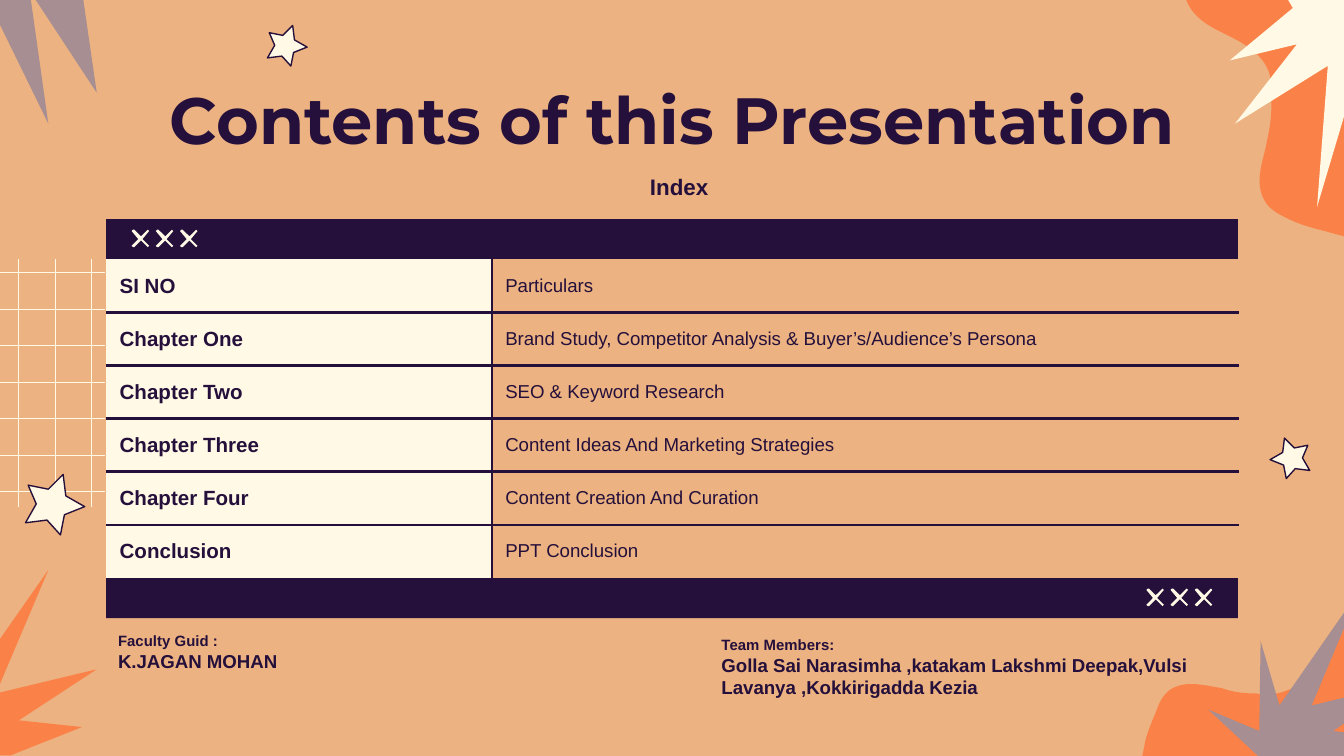
import lxml.etree
import pptx
import pptx.dml.color
import pptx.enum.shapes
import pptx.enum.text
import pptx.oxml.ns
import pptx.util

Inches = pptx.util.Inches
Pt = pptx.util.Pt
RGBColor = pptx.dml.color.RGBColor
qn = pptx.oxml.ns.qn
PP_ALIGN = pptx.enum.text.PP_ALIGN

SAND = RGBColor(0xEC, 0xB2, 0x81)
CREAM = RGBColor(0xFF, 0xF9, 0xE5)
ORANGE = RGBColor(0xFA, 0x81, 0x47)
MAUVE = RGBColor(0xA7, 0x8E, 0x92)
PLUM = RGBColor(0x25, 0x10, 0x3B)

LOWER_BLOB = [
    (1.62, 0), (1.49, 0.02, 1.41, 0.14, 1.36, 0.25), (1.3, 0.37, 1.24, 0.51, 1.1, 0.55),
    (1.05, 0.57, 0.99, 0.58, 0.93, 0.58), (0.91, 0.58, 0.89, 0.57, 0.87, 0.57),
    (0.78, 0.57, 0.7, 0.56, 0.62, 0.53), (0.55, 0.52, 0.47, 0.5, 0.39, 0.5),
    (0.34, 0.5, 0.29, 0.51, 0.24, 0.54), (0.18, 0.58, 0.15, 0.65, 0.13, 0.71),
    (0.1, 0.78, 0.07, 0.85, 0.05, 0.93), (0.04, 1, 0.02, 1.07, 0, 1.14),
    (1.48, 1.14), (1.56, 1.14, 1.62, 1.07, 1.62, 0.99),
]
UPPER_BLOB = [
    (0, 0), (0.02, 0.16, 0.15, 0.25, 0.28, 0.31), (0.42, 0.38, 0.57, 0.45, 0.63, 0.6),
    (0.66, 0.69, 0.65, 0.78, 0.65, 0.87), (0.65, 0.97, 0.63, 1.06, 0.61, 1.16),
    (0.58, 1.29, 0.52, 1.45, 0.61, 1.58), (0.66, 1.65, 0.74, 1.68, 0.8, 1.71),
    (0.89, 1.75, 0.97, 1.77, 1.05, 1.79), (1.15, 1.82, 1.25, 1.84, 1.34, 1.88),
    (1.34, 0.17), (1.34, 0.07, 1.27, 0, 1.18, 0),
]
LEFT_BURST = [(0.56, 0), (0, 0.8), (0, 1.38), (0.28, 1.38), (0.81, 1.17),
              (0.34, 1.12), (0.92, 0.74), (0.17, 0.92)]
LOWER_BURST = [(1.1, 0), (0.53, 0.82), (0.39, 0.34), (0.38, 1.01), (0, 0.85), (0.43, 1.25),
               (0.36, 1.3), (0.88, 1.3), (0.87, 1.25), (1.1, 1.16), (1.1, 1.03),
               (0.93, 1.01), (1.1, 0.89), (1.1, 0.74), (0.77, 0.82), (1.1, 0.03)]
UPPER_BURST = [(0.4, 0), (0.47, 0.12), (0, 0.51), (0.5, 0.39), (0.04, 0.98),
               (0.73, 0.55), (0.65, 1.6), (0.99, 0.46), (1, 0.47), (1, 0)]
LEFT_SPIKES = [(0.15, 0), (0.07, 0, 0, 0.07, 0, 0.15), (0, 1.51), (0.03, 1.74),
               (0.18, 0.26), (0.64, 1.2), (0.5, 0.21), (1, 0.97), (0.86, 0)]
STAR = [(0.28, 0), (0.3, 0.16), (0.44, 0.24), (0.29, 0.3), (0.26, 0.45),
        (0.16, 0.34), (0, 0.36), (0.08, 0.22), (0.02, 0.08), (0.17, 0.11)]
CROSS = [(0.01, 0), (0, 0.01), (0.05, 0.07), (0, 0.12), (0.01, 0.13), (0.02, 0.13),
         (0.07, 0.08), (0.12, 0.13), (0.13, 0.12), (0.08, 0.07), (0.13, 0.01),
         (0.12, 0), (0.07, 0.05), (0.02, 0)]

CHAPTERS = [
    ("SI NO", "Particulars"),
    ("Chapter One", "Brand Study, Competitor Analysis & Buyer’s/Audience’s Persona"),
    ("Chapter Two", "SEO & Keyword Research"),
    ("Chapter Three", "Content Ideas And Marketing Strategies"),
    ("Chapter Four", "Content Creation And Curation"),
    ("Conclusion", "PPT Conclusion"),
]


def flatten(outline, steps=10):
    points = []
    for segment in outline:
        if len(segment) == 2:
            points.append(segment)
            continue
        x0, y0 = points[-1]
        x1, y1, x2, y2, x3, y3 = segment
        for step in range(1, steps + 1):
            t = step / steps
            a, b, c, d = (1 - t) ** 3, 3 * t * (1 - t) ** 2, 3 * t * t * (1 - t), t ** 3
            points.append((a * x0 + b * x1 + c * x2 + d * x3,
                           a * y0 + b * y1 + c * y2 + d * y3))
    return points


def add_outline(slide, left, top, outline, color, edge=None):
    points = [(Inches(x), Inches(y)) for x, y in flatten(outline)]
    builder = slide.shapes.build_freeform(*points[0])
    builder.add_line_segments(points[1:], close=True)
    shape = builder.convert_to_shape(Inches(left), Inches(top))
    shape.shadow.inherit = False
    shape.fill.solid()
    shape.fill.fore_color.rgb = color
    if edge is None:
        shape.line.fill.background()
    else:
        shape.line.color.rgb = edge
        shape.line.width = Pt(0.75)


def add_star(slide, left, top, scale, mirrored=False):
    outline = [((0.44 - x if mirrored else x) * scale, y * scale) for x, y in STAR]
    add_outline(slide, left, top, outline, CREAM, PLUM)


def add_grid(slide, left, top, width, height):
    columns = [left + 1.18 + 0.27 * index for index in range(3)]
    rows = [top + 0.1 + 1.63 / 6 * index for index in range(7)]
    lines = [(x, top, x, top + height) for x in columns]
    lines += [(left, y, left + width, y) for y in rows]
    for ends in lines:
        connector = slide.shapes.add_connector(
            pptx.enum.shapes.MSO_CONNECTOR.STRAIGHT, *map(Inches, ends))
        connector.line.color.rgb = CREAM
        connector.line.width = Pt(0.4)
        lxml.etree.SubElement(connector._element.spPr, qn("a:effectLst"))


def add_frame(slide, left, top, width, height):
    shape = slide.shapes.add_shape(pptx.enum.shapes.MSO_SHAPE.RECTANGLE,
                                   *map(Inches, (left, top, width, height)))
    shape.shadow.inherit = False
    shape.fill.solid()
    shape.fill.fore_color.rgb = PLUM
    shape.line.fill.background()
    for x, y in ((left + 0.19, top + 0.08), (left + width - 0.68, top + height - 0.22)):
        for index in range(3):
            add_outline(slide, x + 0.18 * index, y, CROSS, CREAM)


def style_font(font, size, bold=True, name="Arial"):
    font.name = name
    font.size = Pt(size)
    font.bold = bold
    font.color.rgb = PLUM


def add_text(slide, left, top, width, height, text, sizes, name="Arial",
             alignment=PP_ALIGN.LEFT, right_inset=0.1):
    shape = slide.shapes.add_textbox(*map(Inches, (left, top, width, height)))
    frame = shape.text_frame
    frame.word_wrap = True
    frame.margin_left = frame.margin_top = frame.margin_bottom = Inches(0.1)
    frame.margin_right = Inches(right_inset)
    paragraph = frame.paragraphs[0]
    paragraph.text = text
    paragraph.alignment = alignment
    for run, size in zip(paragraph.runs, sizes):
        style_font(run.font, size, name=name)
    for line_break in paragraph._p.findall(qn("a:br")):
        lxml.etree.SubElement(line_break, qn("a:rPr"), sz=str(sizes[0] * 100))


def set_borders(cell, visible_sides):
    properties = cell._tc.get_or_add_tcPr()
    for side in "LRTB":
        line = lxml.etree.SubElement(properties, qn("a:ln" + side), w=str(Pt(1.5)))
        if side in visible_sides:
            fill = lxml.etree.SubElement(line, qn("a:solidFill"))
            lxml.etree.SubElement(fill, qn("a:srgbClr"), val=str(PLUM))
        else:
            lxml.etree.SubElement(line, qn("a:noFill"))


def add_contents_table(slide, left, top, width, height):
    table = slide.shapes.add_table(len(CHAPTERS), 2,
                                   *map(Inches, (left, top, width, height))).table
    table.first_row = table.horz_banding = False
    table.columns[0].width = Inches(2.87)
    table.columns[1].width = Inches(width - 2.87)
    styles = [("R", CREAM, 11, True), ("L", SAND, 10, False)]
    for row, texts in enumerate(CHAPTERS):
        for column, (side, color, size, bold) in enumerate(styles):
            cell = table.cell(row, column)
            if row > 0:
                side += "T"
            if row < len(CHAPTERS) - 1:
                side += "B"
            set_borders(cell, side)
            cell.fill.solid()
            cell.fill.fore_color.rgb = color
            cell.vertical_anchor = pptx.enum.text.MSO_ANCHOR.MIDDLE
            cell.margin_left = cell.margin_right = Inches(0.1)
            cell.margin_top = cell.margin_bottom = 0
            cell.text_frame.text = texts[column]
            style_font(cell.text_frame.paragraphs[0].runs[0].font, size, bold)


def add_decorations(slide, left, top, width, height):
    right, bottom = left + width, top + height
    add_grid(slide, left - 1.04, top + 1.93, 1.82, 1.84)
    add_outline(slide, right - 1.53, bottom - 1.03, LOWER_BLOB, ORANGE)
    add_outline(slide, right - 1.19, top - 0.07, UPPER_BLOB, ORANGE)
    add_outline(slide, left - 0.2, bottom - 1.38, LEFT_BURST, ORANGE)
    add_outline(slide, right - 1.01, bottom - 1.19, LOWER_BURST, MAUVE)
    add_outline(slide, right - 0.85, top - 0.06, UPPER_BURST, CREAM)
    add_star(slide, right - 0.55, top + 3.26, 0.67, mirrored=True)
    add_star(slide, left + 1.99, top + 0.19, 0.67)
    add_outline(slide, left - 0.28, top - 0.28, LEFT_SPIKES, MAUVE)
    add_star(slide, left + 0.19, top + 3.53, 1)


def add_contents_slide(presentation):
    slide = presentation.slides.add_slide(presentation.slide_layouts[6])
    slide.background.fill.solid()
    slide.background.fill.fore_color.rgb = SAND
    add_decorations(slide, 0, 0, 10, 5.62)
    add_frame(slide, 0.79, 1.63, 8.42, 2.97)
    add_text(slide, 0.79, 0.49, 8.43, 0.63, "Contents of this Presentation", [35],
             name="Montserrat", alignment=PP_ALIGN.CENTER)
    add_contents_table(slide, 0.79, 1.93, 8.43, 2.37)
    add_text(slide, 0.79, 1.19, 8.43, 0.4, "Index", [12],
             alignment=PP_ALIGN.CENTER, right_inset=0)
    add_text(slide, 0.78, 4.6, 3.28, 0.4, "Faculty Guid :\vK.JAGAN MOHAN", [8, 10])
    add_text(slide, 5.27, 4.63, 4.03, 0.63,
             "Team Members:\vGolla Sai Narasimha ,katakam Lakshmi Deepak,Vulsi "
             "Lavanya ,Kokkirigadda Kezia", [8, 10])


def main():
    presentation = pptx.Presentation()
    presentation.slide_width = Inches(10)
    presentation.slide_height = presentation.slide_width * 9 // 16
    add_contents_slide(presentation)
    presentation.save("out.pptx")


if __name__ == "__main__":
    main()
